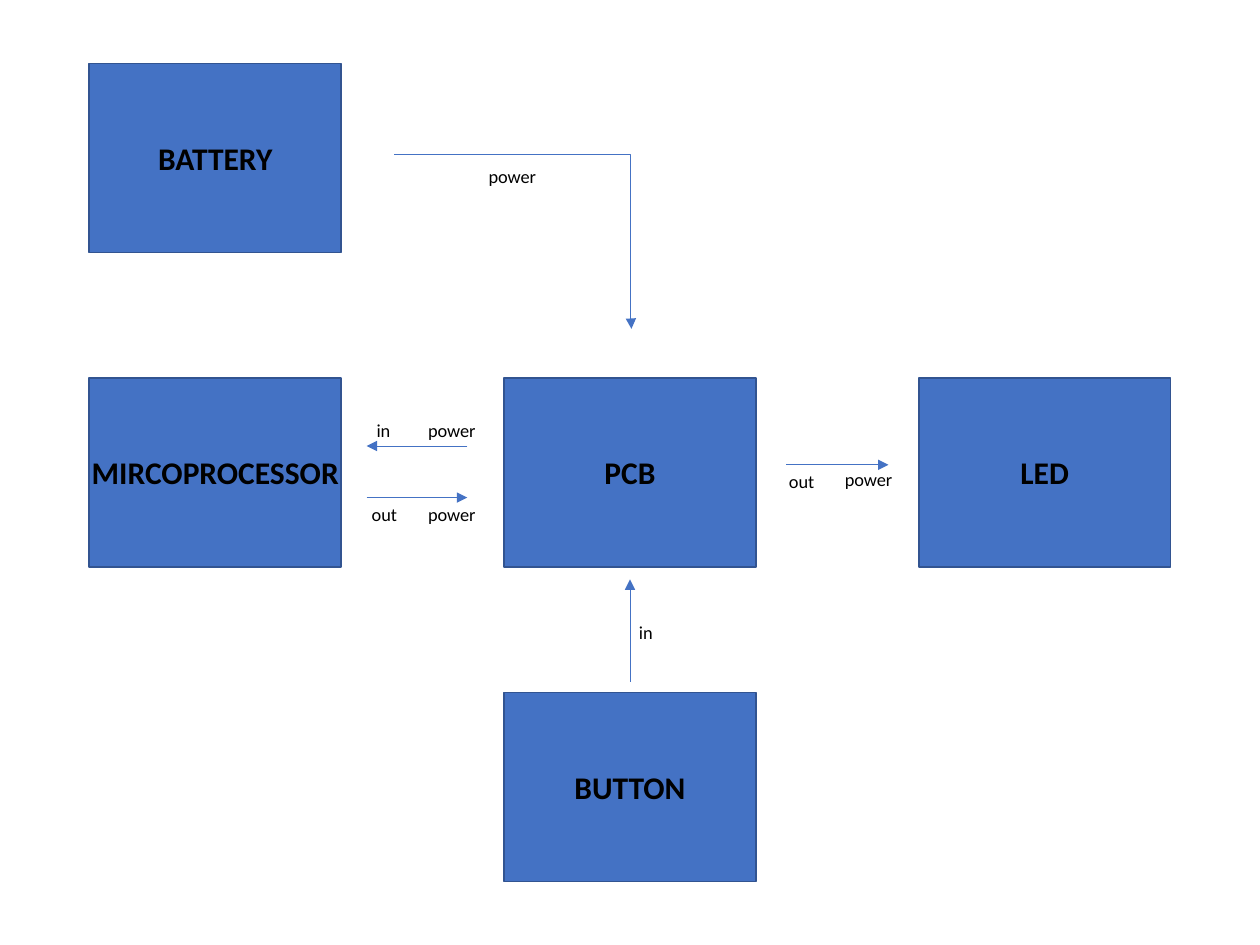
from lxml import etree
from pptx import Presentation
from pptx import util as u
from pptx.dml.color import RGBColor
from pptx.enum import shapes, text
from pptx.oxml import ns

BLUE, BORDER, BLACK = "4472C4", "325491", "000000"
BOX_WIDTH, BOX_HEIGHT = 5.08, 3.81
COLUMNS = [1.8 + 8.36 * i for i in range(3)]
ROWS = [1.28 + 6.34 * i for i in range(3)]
GAP_LEFT = COLUMNS[0] + BOX_WIDTH
LABEL_WIDTHS = {"in": 0.94, "out": 1.02, "power": 1.5}


def set_color(color_format, value):
    """Apply a hex colour to a fill, line or font colour."""
    color_format.rgb = RGBColor.from_string(value)


def add_text(parent, content, left, top, width, height, size=10.5, bold=False):
    """Add a centred one-line text box, measured in centimetres."""
    box = parent.shapes.add_textbox(u.Cm(left), u.Cm(top), u.Cm(width), u.Cm(height))
    frame = box.text_frame
    frame.word_wrap = False
    frame.auto_size = text.MSO_AUTO_SIZE.SHAPE_TO_FIT_TEXT
    paragraph = frame.paragraphs[0]
    paragraph.alignment = text.PP_ALIGN.CENTER
    run = paragraph.add_run()
    run.text = content
    run.font.name = "Calibri"
    run.font.size = u.Pt(size)
    run.font.bold = bold
    set_color(run.font.color, BLACK)


def add_arrow(parent, start, end, bend=None):
    """Add an arrow; bend is the elbow position in thousandths of a percent."""
    kind = shapes.MSO_CONNECTOR.STRAIGHT if bend is None else shapes.MSO_CONNECTOR.ELBOW
    arrow = parent.shapes.add_connector(kind, *(u.Cm(value) for value in (*start, *end)))
    arrow.line.width = u.Pt(0.5)
    set_color(arrow.line.color, BLUE)
    line = arrow.line._get_or_add_ln()
    etree.SubElement(line, ns.qn("a:tailEnd"), type="triangle")
    properties = arrow._element.spPr
    etree.SubElement(properties, ns.qn("a:effectLst"))
    if bend is not None:
        geometry = properties.find(ns.qn("a:prstGeom"))
        adjustments = geometry.find(ns.qn("a:avLst"))
        if adjustments is None:
            adjustments = etree.SubElement(geometry, ns.qn("a:avLst"))
        etree.SubElement(adjustments, ns.qn("a:gd"), name="adj1", fmla=f"val {bend}")


def add_component(slide, name, left, top, label_width):
    """Draw one component box with its centred name."""
    group = slide.shapes.add_group_shape()
    box = group.shapes.add_shape(shapes.MSO_SHAPE.RECTANGLE, u.Cm(left), u.Cm(top),
                                 u.Cm(BOX_WIDTH), u.Cm(BOX_HEIGHT))
    box.shadow.inherit = False
    box.fill.solid()
    set_color(box.fill.fore_color, BLUE)
    set_color(box.line.color, BORDER)
    box.line.width = u.Pt(1)
    add_text(group, name, left + (BOX_WIDTH - label_width) / 2, top + 1.39,
             label_width, 1.02, size=18, bold=True)


def add_link(slide, left, top, arrows, labels, bend=None):
    """Draw the arrows and labels of one link, offset from its corner."""
    group = slide.shapes.add_group_shape()
    for x1, y1, x2, y2 in arrows:
        add_arrow(group, (left + x1, top + y1), (left + x2, top + y2), bend)
    for content, x, y in labels:
        add_text(group, content, left + x, top + y, LABEL_WIDTHS[content], 0.72)


def build_diagram(slide):
    """Place the components on the grid and the links between them."""
    for name, column, row, label_width in [
        ("BUTTON", 1, 2, 2.77),
        ("BATTERY", 0, 0, 2.95),
        ("PCB", 1, 1, 1.57),
        ("LED", 2, 1, 1.5),
        ("MIRCOPROCESSOR", 0, 1, 5.61),
    ]:
        add_component(slide, name, COLUMNS[column], ROWS[row], label_width)

    add_link(slide, COLUMNS[1], ROWS[1] + BOX_HEIGHT,
             [(2.54, 2.31, 2.54, 0.25)], [("in", 2.39, 0.97)])
    add_link(slide, COLUMNS[1] + BOX_WIDTH, ROWS[1],
             [(0.61, 1.75, 2.67, 1.75)], [("out", 0.41, 1.73), ("power", 1.52, 1.7)])
    add_link(slide, GAP_LEFT, ROWS[0],
             [(1.07, 1.84, 5.85, 5.35)], [("power", 2.7, 1.92)], bend=99800)
    add_link(slide, GAP_LEFT, ROWS[1],
             [(0.51, 2.41, 2.54, 2.41), (2.54, 1.37, 0.51, 1.37)],
             [("in", 0.38, 0.7), ("out", 0.36, 2.39),
              ("power", 1.48, 0.7), ("power", 1.48, 2.39)])


def main():
    """Create and save the presentation."""
    presentation = Presentation()
    presentation.slide_width, presentation.slide_height = u.Cm(25.4), u.Cm(19.05)
    build_diagram(presentation.slides.add_slide(presentation.slide_layouts[6]))
    presentation.save("out.pptx")


main()
